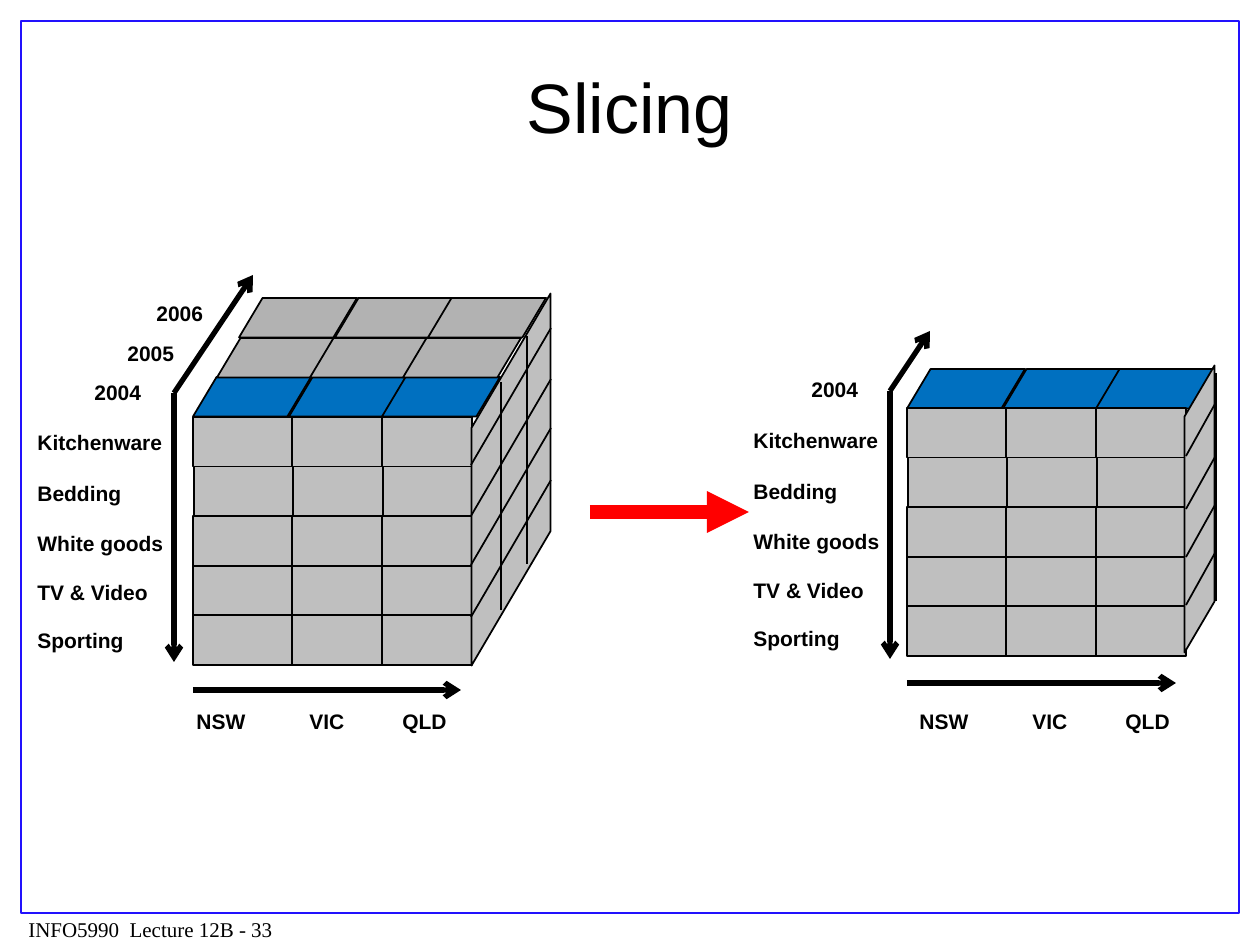
from pptx import Presentation
from pptx.dml.color import RGBColor
from pptx.enum.shapes import MSO_CONNECTOR, MSO_SHAPE
from pptx.enum.text import MSO_ANCHOR, PP_ALIGN
from pptx.oxml.ns import qn
from pptx.util import Pt
from lxml.etree import SubElement

PX = 914400 / 126
COLORS = {"ink": "000000", "frame": "2211FD", "slice": "0070C0",
          "top": "B2B2B2", "front": "BFBFBF", "arrow": "FF0000"}

PRODUCTS = ["Kitchenware", "Bedding", "White goods", "TV & Video", "Sporting"]
PRODUCT_TOPS = [0, 51, 101, 150, 198]
REGIONS = ["NSW", "VIC", "QLD"]
REGION_TABS = [113, 206]
COLUMNS = [(0, 99), (99, 90), (189, 90)]
ROW_HEIGHT = 49.6
ROW_SHIFTS = [0, 1, 0, 0, 0]
TILE_WIDTH, TILE_HEIGHT = 118, 39.5

# slabs: fill, top, lefts of the tiles; years: text, left, top
# side: left, top, width, height before its quarter turn
# seams: verticals as x, top, bottom; slants as right x, left x, rise, right-hand ys
CUBES = [
    {"slabs": [("slice", 377, [193, 289, 382]), ("top", 338, [217, 310, 403]),
               ("top", 298, [239, 335, 428])],
     "front": (193, 417),
     "side": (325, 440, 372, 79),
     "seams": [(501, 382, 610), (527, 336, 564)],
     "slants": (551, 471, 137, [328, 379, 428, 480]),
     "years": [("2006", 144, 294), ("2005", 115, 334), ("2004", 82, 373)],
     "products": (25, 423), "regions": (184, 702),
     "axes": [(174, 393, 253, 275), (174, 393, 174, 662), (193, 690, 461, 690)]},
    {"slabs": [("slice", 369, [907, 1003, 1096])],
     "front": (907, 408),
     "side": (1056, 494, 287, 30),
     "seams": [(1216, 373, 601)],
     "slants": (1215, 1186, 52, [404, 457, 505, 553]),
     "years": [("2004", 799, 370)],
     "products": (741, 421), "regions": (907, 702),
     "axes": [(890, 391, 930, 331), (890, 391, 890, 659), (907, 683, 1176, 683)]},
]


def emu(*lengths):
    return [round(length * PX) for length in lengths]


def color(name):
    return RGBColor.from_string(COLORS[name])


def add_block(parent, kind, box, fill, line="ink", width=1):
    block = parent.shapes.add_shape(kind, *emu(*box))
    block.shadow.inherit = False
    if fill:
        block.fill.solid()
        block.fill.fore_color.rgb = color(fill)
    else:
        block.fill.background()
    block.line.color.rgb = color(line)
    block.line.width = Pt(width)
    return block


def add_line(parent, ends, width=1, ink="ink", head=None):
    line = parent.shapes.add_connector(MSO_CONNECTOR.STRAIGHT, *emu(*ends))
    line.line.color.rgb = color(ink)
    line.line.width = Pt(width)
    if head:
        SubElement(line.line._get_or_add_ln(), qn("a:tailEnd"), type=head)
    SubElement(line._element.spPr, qn("a:effectLst"))


def add_text(parent, text, box, size=12, font="Arial", bold=True):
    frame = parent.shapes.add_textbox(*emu(*box)).text_frame
    frame.word_wrap = True
    frame.text = text
    para = frame.paragraphs[0]
    for span in para.runs:
        span.font.size, span.font.name, span.font.bold = Pt(size), font, bold
        span.font.color.rgb = color("ink")
    return frame


def add_cube(page, cube):
    group = page.shapes.add_group_shape()
    for fill, top, lefts in cube["slabs"]:
        for left in lefts:
            add_block(group, MSO_SHAPE.FLOWCHART_DATA,
                      (left, top, TILE_WIDTH, TILE_HEIGHT), fill)

    left, top = cube["front"]
    for row, shift in enumerate(ROW_SHIFTS):
        for offset, width in COLUMNS:
            add_block(group, MSO_SHAPE.RECTANGLE,
                      (left + offset + shift, top + row * ROW_HEIGHT, width, ROW_HEIGHT),
                      "front")

    side = add_block(group, MSO_SHAPE.PARALLELOGRAM, cube["side"], "front")
    side.adjustments[0] = 1.7
    side.rotation = 270
    side._element.spPr.find(qn("a:xfrm")).set("flipH", "1")
    for x, start, end in cube["seams"]:
        add_line(group, (x, start, x, end))
    right, near, rise, heights = cube["slants"]
    for y in heights:
        add_line(group, (right, y, near, y + rise))

    for year, x, y in cube["years"]:
        add_text(group, year, (x, y, 170, 38))
    x, y = cube["products"]
    for product, offset in zip(PRODUCTS, PRODUCT_TOPS):
        add_text(group, product, (x, y + offset, 181, 38))
    frame = add_text(group, "\t".join(REGIONS), (*cube["regions"], 297, 38))
    tabs = SubElement(frame.paragraphs[0]._p.get_or_add_pPr(), qn("a:tabLst"))
    for stop in emu(*REGION_TABS):
        SubElement(tabs, qn("a:tab"), pos=str(stop), algn="l")
    for axis in cube["axes"]:
        add_line(group, axis, 3, head="arrow")


def main():
    deck = Presentation()
    deck.slide_width, deck.slide_height = emu(1260, 945)
    page = deck.slides.add_slide(deck.slide_layouts[6])
    add_text(page, "INFO5990  Lecture 12B - 33", (16, 910, 355, 38),
             font="Times New Roman", bold=False)
    add_block(page, MSO_SHAPE.RECTANGLE, (21, 21, 1218, 892), None, "frame", 1.5)
    title = add_text(page, "Slicing", (94, 27, 1071, 157), 40, bold=False)
    title.vertical_anchor = MSO_ANCHOR.MIDDLE
    title.paragraphs[0].alignment = PP_ALIGN.CENTER
    for cube in CUBES:
        add_cube(page, cube)
    add_line(page, (590, 512, 749, 512), 8, "arrow", "triangle")
    deck.save("out.pptx")


if __name__ == "__main__":
    main()
